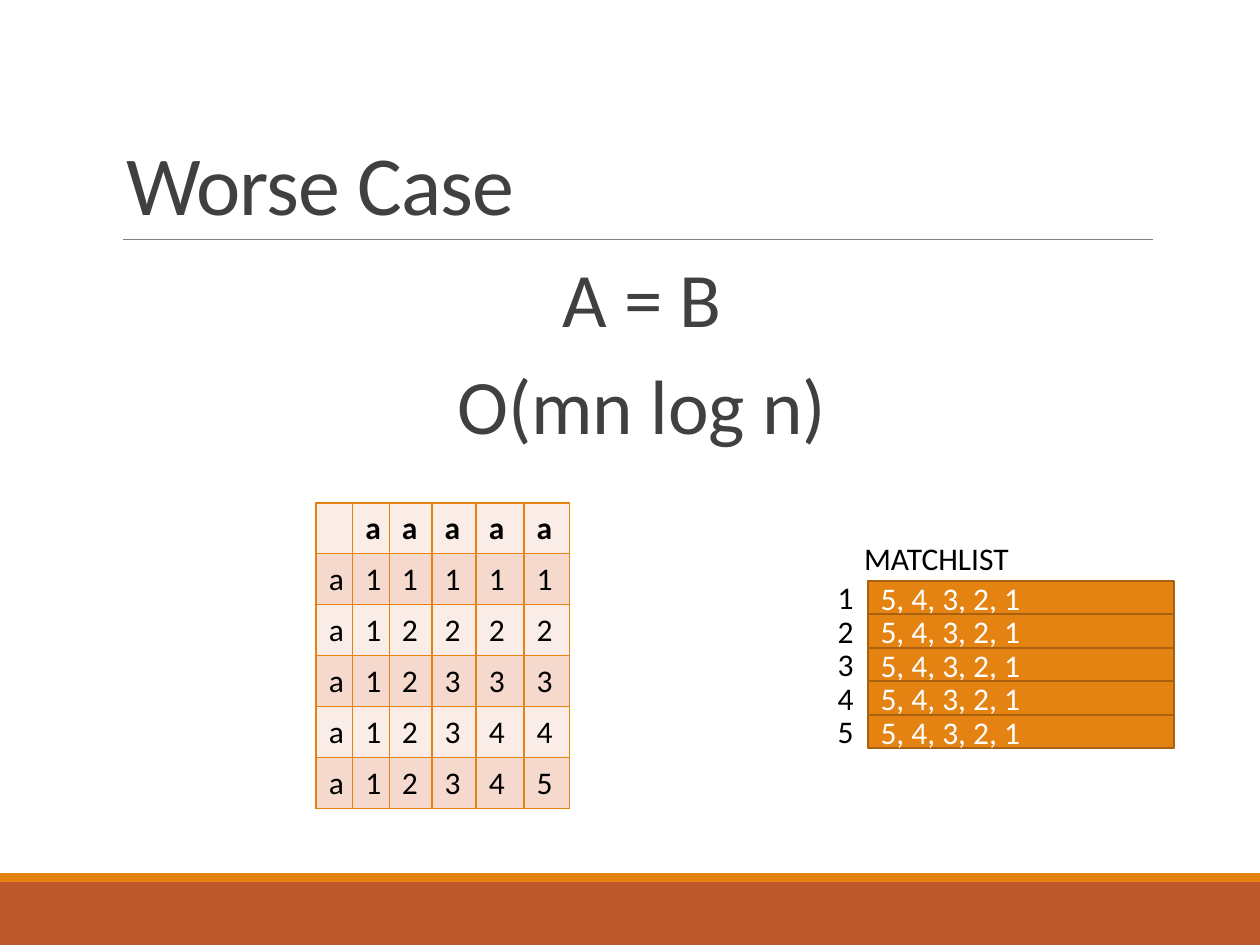
import pptx
import pptx.dml.color
import pptx.enum.shapes
import pptx.enum.text
import pptx.util
import lxml.etree
from typing import NamedTuple

COLUMNS, ROWS = 100, 75
WIDTH, HEIGHT = pptx.util.Inches(10), pptx.util.Inches(7.5)
ORANGE, RUST, BROWN = "E48312", "BD582C", "A9610D"
GREY, DARK, BLACK, WHITE = "808080", "404040", "000000", "FFFFFF"
BANDS = ("FAEDE7", "F5D9CC")
SIZE = 5
ALIGN = pptx.enum.text.PP_ALIGN
ANCHOR = pptx.enum.text.MSO_ANCHOR
DRAWING = "http://schemas.openxmlformats.org/drawingml/2006/main"


class Box(NamedTuple):
    """A rectangle in grid columns and rows."""
    left: float
    top: float
    width: float
    height: float

    def place(self):
        """Return the rectangle in slide units."""
        return (across(self.left), down(self.top), across(self.width), down(self.height))


def across(columns):
    """Turn grid columns into a length."""
    return round(WIDTH * columns / COLUMNS)


def down(rows):
    """Turn grid rows into a length."""
    return round(HEIGHT * rows / ROWS)


def colour(value):
    """Turn a hex string into a colour."""
    return pptx.dml.color.RGBColor.from_string(value)


def style(para, size, ink, bold=False, align=ALIGN.LEFT):
    """Set the font and alignment of a paragraph."""
    para.alignment = align
    para.font.name = "Calibri"
    para.font.size = pptx.util.Pt(size)
    para.font.bold = bold
    para.font.color.rgb = colour(ink)


def add_bar(page, box, fill, line=None):
    """Add a flat rectangle, outlined if a line colour is given."""
    bar = page.shapes.add_shape(pptx.enum.shapes.MSO_SHAPE.RECTANGLE, *box.place())
    bar.shadow.inherit = False
    bar.fill.solid()
    bar.fill.fore_color.rgb = colour(fill)
    if line:
        bar.line.color.rgb = colour(line)
        bar.line.width = pptx.util.Pt(1.25)
    else:
        bar.line.fill.background()
    return bar


def add_label(page, box, text):
    """Add a one-line black label."""
    frame = page.shapes.add_textbox(*box.place()).text_frame
    frame.word_wrap = False
    frame.text = text
    style(frame.paragraphs[0], 18, BLACK)


def add_footer(page, box):
    """Add the two bands at the foot of the page."""
    stripe = 0.7
    add_bar(page, box._replace(top=box.top + stripe, height=box.height - stripe), RUST)
    add_bar(page, box._replace(height=stripe), ORANGE)


def add_title(page, box, text):
    """Place the title above its rule."""
    title = page.shapes.title
    title.left, title.top, title.width, title.height = box.place()
    frame = title.text_frame
    frame.auto_size = pptx.enum.text.MSO_AUTO_SIZE.NONE
    frame.vertical_anchor = ANCHOR.BOTTOM
    frame.text = text
    para = frame.paragraphs[0]
    para.line_spacing = 0.85
    style(para, 48, DARK)
    para.runs[0]._r.get_or_add_rPr().set("spc", "-50")
    height = down(box.top + box.height)
    rule = page.shapes.add_connector(
        pptx.enum.shapes.MSO_CONNECTOR.STRAIGHT,
        across(box.left + 0.8), height, across(box.left + box.width), height)
    rule.line.color.rgb = colour(GREY)
    rule.line.width = pptx.util.Pt(0.5)
    lxml.etree.SubElement(rule._element.spPr, f"{{{DRAWING}}}effectLst")


def add_statement(page, box, lines):
    """Add the large centred lines."""
    frame = page.shapes.add_textbox(*box.place()).text_frame
    frame.word_wrap = True
    frame.margin_left, frame.margin_right = across(1.4), 0
    for index, line in enumerate(lines):
        para = frame.add_paragraph() if index else frame.paragraphs[0]
        para.text = line
        para.line_spacing = 0.9
        para.space_before = pptx.util.Pt(12 if index else 0)
        para.space_after = pptx.util.Pt(2)
        style(para, 44, DARK, align=ALIGN.CENTER)


def add_borders(cell):
    """Draw a thin orange line on each side of a cell."""
    properties = cell._tc.get_or_add_tcPr()
    for index, side in enumerate(("lnL", "lnR", "lnT", "lnB")):
        line = lxml.etree.Element(f"{{{DRAWING}}}{side}", w=str(pptx.util.Pt(1)))
        fill = lxml.etree.SubElement(line, f"{{{DRAWING}}}solidFill")
        lxml.etree.SubElement(fill, f"{{{DRAWING}}}srgbClr", val=ORANGE)
        properties.insert(index, line)


def add_lengths(page, box, widths):
    """Add the table of common subsequence lengths."""
    count = SIZE + 1
    table = page.shapes.add_table(count, count, *box.place()).table
    for column, width in zip(table.columns, widths):
        column.width = across(width)
    for row in range(count):
        table.rows[row].height = down(box.height / count)
        for column in range(count):
            cell = table.cell(row, column)
            shorter = min(row, column)
            cell.text = str(shorter) if shorter else "a" if row + column else ""
            style(cell.text_frame.paragraphs[0], 18, BLACK, bold=row == 0)
            cell.fill.solid()
            cell.fill.fore_color.rgb = colour(BANDS[row % 2])
            add_borders(cell)


def add_matchlist(page, box):
    """Add the heading and the numbered bars of the match list."""
    heading, gutter = 3.8, 3.4
    step = (box.height - heading) / SIZE
    add_label(page, Box(box.left + 2.1, box.top, 13.6, 4), "MATCHLIST")
    matches = ", ".join(str(number) for number in range(SIZE, 0, -1))
    for index in range(SIZE):
        top = box.top + heading + index * step
        bar = add_bar(page, Box(box.left + gutter, top, box.width - gutter, step), ORANGE, BROWN)
        frame = bar.text_frame
        frame.vertical_anchor = ANCHOR.MIDDLE
        frame.text = matches
        style(frame.paragraphs[0], 18, WHITE)
        add_label(page, Box(box.left, top - 0.7, 3.3, 4), str(index + 1))


def main():
    """Build and save the slide."""
    deck = pptx.Presentation()
    deck.slide_width, deck.slide_height = WIDTH, HEIGHT
    page = deck.slides.add_slide(deck.slide_layouts.get_by_name("Title Only"))
    add_footer(page, Box(0, 69.3, COLUMNS, 5.7))
    add_title(page, Box(9, 3.1, 82.5, 15.9), "Worse Case")
    add_statement(page, Box(9, 20.2, 82.5, 44), ("A = B", "O(mn log n)"))
    add_lengths(page, Box(25.1, 39.9, 20.1, 24.3), (2.9, 2.9, 3.4, 3.5, 3.8, 3.6))
    add_matchlist(page, Box(65.5, 42.3, 27.7, 17.1))
    deck.save("out.pptx")


if __name__ == "__main__":
    main()
